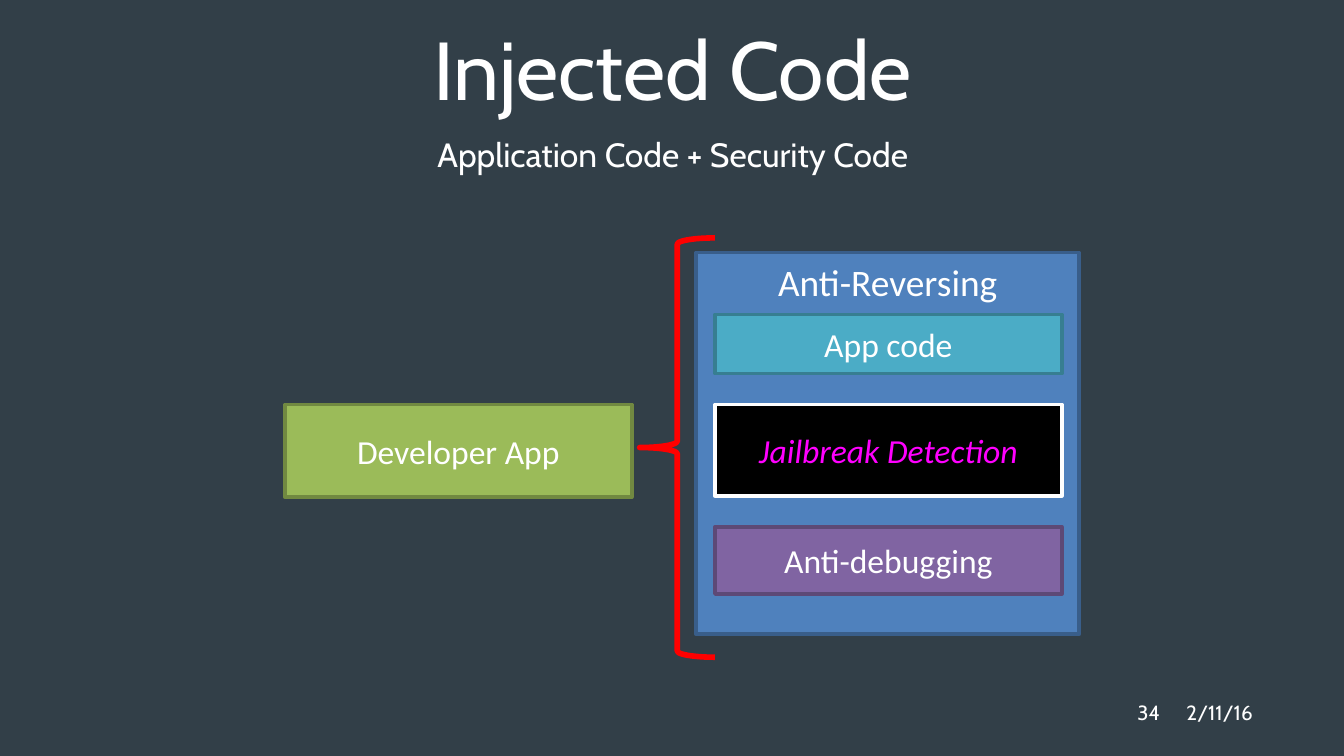
"""Builds the slide that shows a developer app opened up into its injected code."""
from pptx import Presentation
from pptx.dml.color import RGBColor as RGB
from pptx.enum.shapes import MSO_SHAPE as Shape
from pptx.enum.text import MSO_ANCHOR as Anchor, PP_ALIGN as Align
from pptx.util import Inches, Pt

HUES = {
    "back": "323F48", "white": "FFFFFF", "black": "000000", "pink": "FF00FF", "red": "FF0000",
    "blue": "4F81BD", "navy": "395E8A", "green": "9BBB59", "moss": "718941",
    "teal": "4BACC6", "pine": "377E91", "plum": "8064A2", "grape": "5D4976",
}


def write(shape, text, size, face="Cabin", hue="white", align=Align.CENTER, anchor=Anchor.MIDDLE):
    frame = shape.text_frame
    frame.word_wrap = True
    frame.vertical_anchor = anchor
    para = frame.paragraphs[0]
    para.alignment = align
    run = para.add_run()
    run.text = text
    run.font.size = Pt(size)
    run.font.name = face
    run.font.color.rgb = RGB.from_string(HUES[hue])
    return run


def draw(kind, box, line, width, fill=None):
    shape = slide.shapes.add_shape(kind, *map(Inches, box))
    shape.shadow.inherit = False
    if fill:
        shape.fill.solid()
        shape.fill.fore_color.rgb = RGB.from_string(HUES[fill])
    else:
        shape.fill.background()
    shape.line.color.rgb = RGB.from_string(HUES[line])
    shape.line.width = Pt(width)
    return shape


deck = Presentation()
deck.slide_width, deck.slide_height = Inches(10), Inches(10 * 9 / 16)
slide = deck.slides.add_slide(deck.slide_layouts[5])
slide.background.fill.solid()
slide.background.fill.fore_color.rgb = RGB.from_string(HUES["back"])

title = slide.shapes.title
title.left, title.top, title.width, title.height = map(Inches, (1.2, 0.09, 7.61, 0.76))
write(title, "Injected Code", 44, anchor=Anchor.TOP)

labels = [
    ("Application Code + Security Code", 18, (1.2, 0.95, 7.61, 0.39), Align.CENTER, Anchor.TOP),
    ("2/11/16", 11, (8.73, 5.15, 0.93, 0.3), Align.LEFT, Anchor.MIDDLE),
    ("34", 11, (8.13, 5.15, 0.6, 0.3), Align.RIGHT, Anchor.MIDDLE),
]
for text, size, box, align, anchor in labels:
    label = slide.shapes.add_textbox(*map(Inches, box))
    write(label, text, size, align=align, anchor=anchor)

panel = draw(Shape.RECTANGLE, (5.18, 1.88, 2.85, 2.84), "navy", 2, "blue")
write(panel, "Anti-Reversing", 20, "Calibri", anchor=Anchor.TOP)
draw(Shape.LEFT_BRACE, (4.76, 1.77, 0.56, 3.12), "red", 3)

blocks = [
    ("Developer App", 2.12, 3.01, 0.69, "green", "moss", "white"),
    ("App code", 5.32, 2.34, 0.44, "teal", "pine", "white"),
    ("Jailbreak Detection", 5.32, 3.01, 0.68, "black", "white", "pink"),
    ("Anti-debugging", 5.32, 3.92, 0.5, "plum", "grape", "white"),
]
for text, left, top, height, fill, line, hue in blocks:
    block = draw(Shape.RECTANGLE, (left, top, 2.58, height), line, 2, fill)
    run = write(block, text, 18, "Calibri", hue)
    if hue == "pink":
        run.font.italic = True

deck.save("out.pptx")
